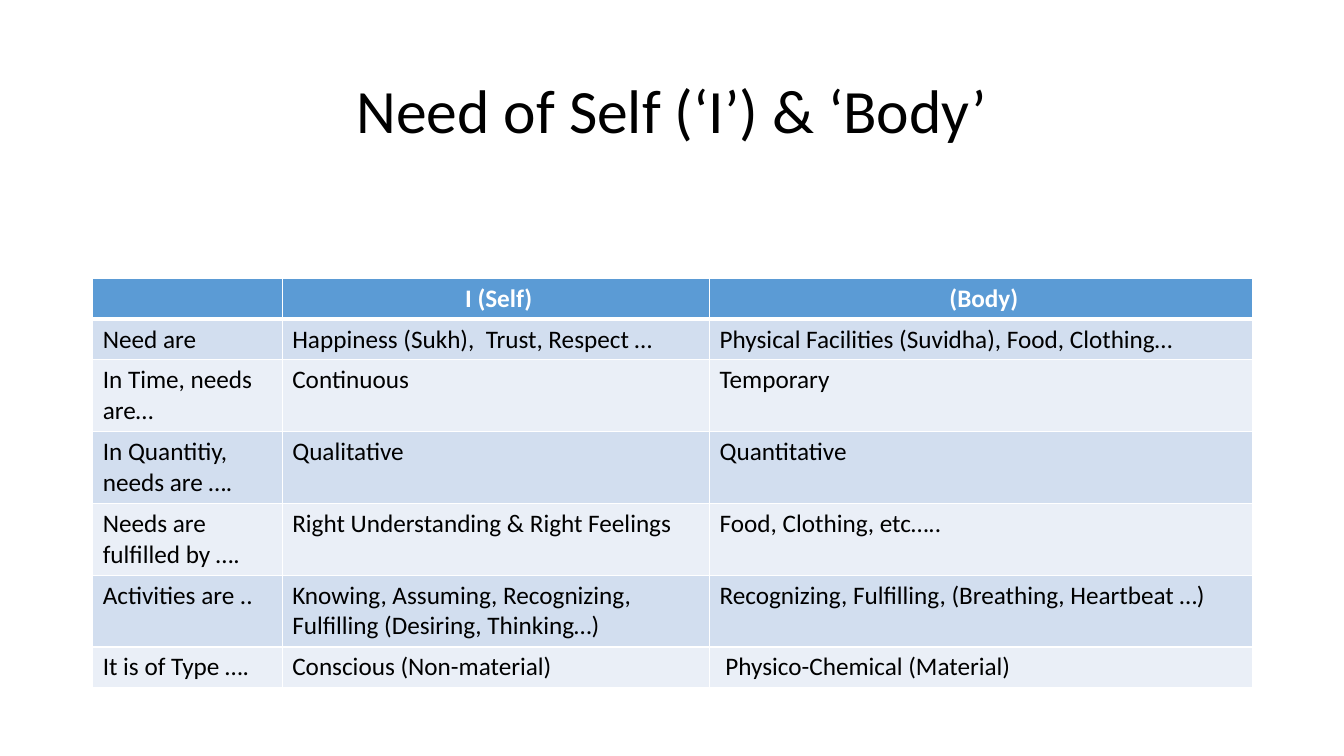
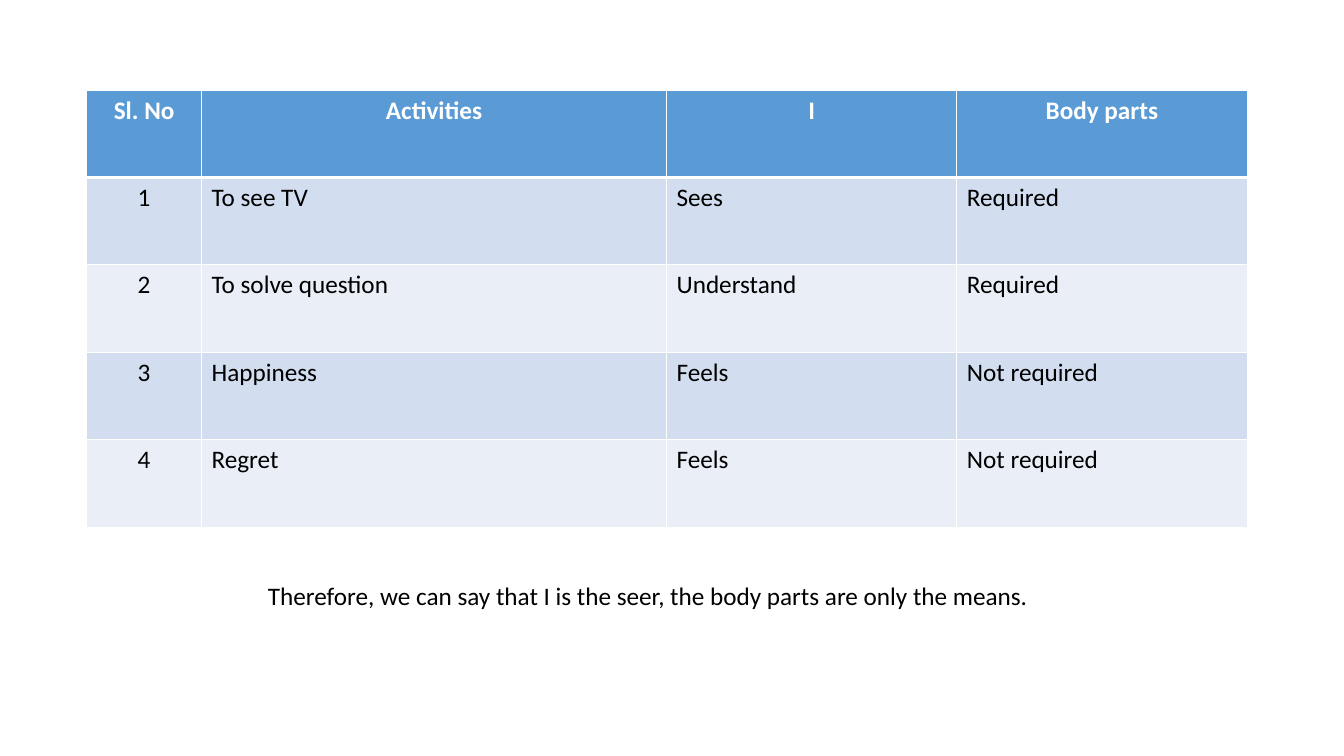
from lxml.etree import SubElement
from pptx import Presentation
from pptx.dml.color import RGBColor
from pptx.enum.text import MSO_ANCHOR, PP_ALIGN
from pptx.oxml.ns import qn
from pptx.util import Inches, Pt

FONT = "Calibri"
BLACK = RGBColor(0x00, 0x00, 0x00)
WHITE = RGBColor(0xFF, 0xFF, 0xFF)
HEADER = RGBColor(0x5B, 0x9B, 0xD5)
BANDS = (RGBColor(0xEA, 0xEF, 0xF7), RGBColor(0xD2, 0xDE, 0xEF))
BLANK_LAYOUT = 6
GRID = 100
ONE_LINE, TWO_LINES = 5.4, 9.5

NEEDS = [
    ["", " I (Self)", " (Body)"],
    ["Need are", "Happiness (Sukh),  Trust, Respect …",
     "Physical Facilities (Suvidha), Food, Clothing…"],
    ["In Time, needs are…", "Continuous", "Temporary"],
    ["In Quantitiy, needs are ….", "Qualitative", "Quantitative"],
    ["Needs are fulfilled by ….", "Right Understanding & Right Feelings",
     "Food, Clothing, etc….."],
    ["Activities are ..",
     "Knowing, Assuming, Recognizing, Fulfilling (Desiring, Thinking…)",
     "Recognizing, Fulfilling, (Breathing, Heartbeat …)"],
    ["It is of Type ….", "Conscious (Non-material)",
     " Physico-Chemical (Material)"],
]
ACTIVITIES = [
    ["Sl. No", "Activities", "I", "Body parts"],
    ["1", "To see TV", "Sees", "Required"],
    ["2", "To solve question", "Understand", "Required"],
    ["3", "Happiness", "Feels", "Not required"],
    ["4", "Regret", "Feels", "Not required"],
]


class Deck:
    def __init__(self):
        self.prs = Presentation()
        self.prs.slide_width = Inches(13.33)
        self.prs.slide_height = Inches(7.5)
        self.s = None

    def new_slide(self):
        self.s = self.prs.slides.add_slide(self.prs.slide_layouts[BLANK_LAYOUT])

    def x(self, cols):
        return round(self.prs.slide_width * cols / GRID)

    def y(self, rows):
        return round(self.prs.slide_height * rows / GRID)

    def style(self, p, size=18, color=BLACK, bold=False, align=PP_ALIGN.LEFT):
        p.alignment = align
        for r in p.runs:
            r.font.name = FONT
            r.font.size = Pt(size)
            r.font.bold = bold
            r.font.color.rgb = color

    def text(self, text, left, top, width, height, **style):
        sp = self.s.shapes.add_textbox(
            self.x(left), self.y(top), self.x(width), self.y(height))
        tf = sp.text_frame
        tf.word_wrap = True
        tf.text = text
        self.style(tf.paragraphs[0], **style)
        return tf

    def title(self, text):
        tf = self.text(text, 6.9, 5.3, 86.25, 19.33,
                       size=44, align=PP_ALIGN.CENTER)
        tf.vertical_anchor = MSO_ANCHOR.MIDDLE
        tf.paragraphs[0].line_spacing = 0.9

    def borders(self, cell, top, bottom):
        tc_pr = cell._tc.get_or_add_tcPr()
        for side, width in (("L", 1), ("R", 1), ("T", top), ("B", bottom)):
            ln = SubElement(tc_pr, qn(f"a:ln{side}"), w=str(Pt(width)))
            fill = SubElement(ln, qn("a:solidFill"))
            SubElement(fill, qn("a:srgbClr"), val=str(WHITE))

    def table(self, data, left, top, widths, heights, centred=()):
        frame = self.s.shapes.add_table(
            len(data), len(widths), self.x(left), self.y(top),
            self.x(sum(widths)), self.y(sum(heights)))
        table = frame.table
        for column, width in zip(table.columns, widths):
            column.width = self.x(width)
        for i, (row, height) in enumerate(zip(data, heights)):
            table.rows[i].height = self.y(height)
            is_header = i == 0
            for j, text in enumerate(row):
                cell = table.cell(i, j)
                self.borders(cell, 3 if i == 1 else 1, 3 if is_header else 1)
                cell.fill.solid()
                cell.fill.fore_color.rgb = HEADER if is_header else BANDS[i % 2]
                cell.text_frame.text = text
                middle = is_header or j in centred
                self.style(cell.text_frame.paragraphs[0],
                           color=WHITE if is_header else BLACK, bold=is_header,
                           align=PP_ALIGN.CENTER if middle else PP_ALIGN.LEFT)


def main():
    deck = Deck()

    deck.new_slide()
    deck.title("Need of Self (‘I’) & ‘Body’")
    deck.table(NEEDS, 6.9, 36.8, [14.1, 31.8, 40.4],
               [ONE_LINE] * 2 + [TWO_LINES] * 4 + [ONE_LINE])

    deck.new_slide()
    deck.table(ACTIVITIES, 6.45, 11.9, [8.55, 34.6, 21.6, 21.6],
               [11.57] * len(ACTIVITIES), centred=(0,))
    deck.text("Therefore, we can say that I is the seer, "
              "the body parts are only the means.", 19.2, 76.1, 64.9, 5.4)

    deck.prs.save("out.pptx")


if __name__ == "__main__":
    main()
